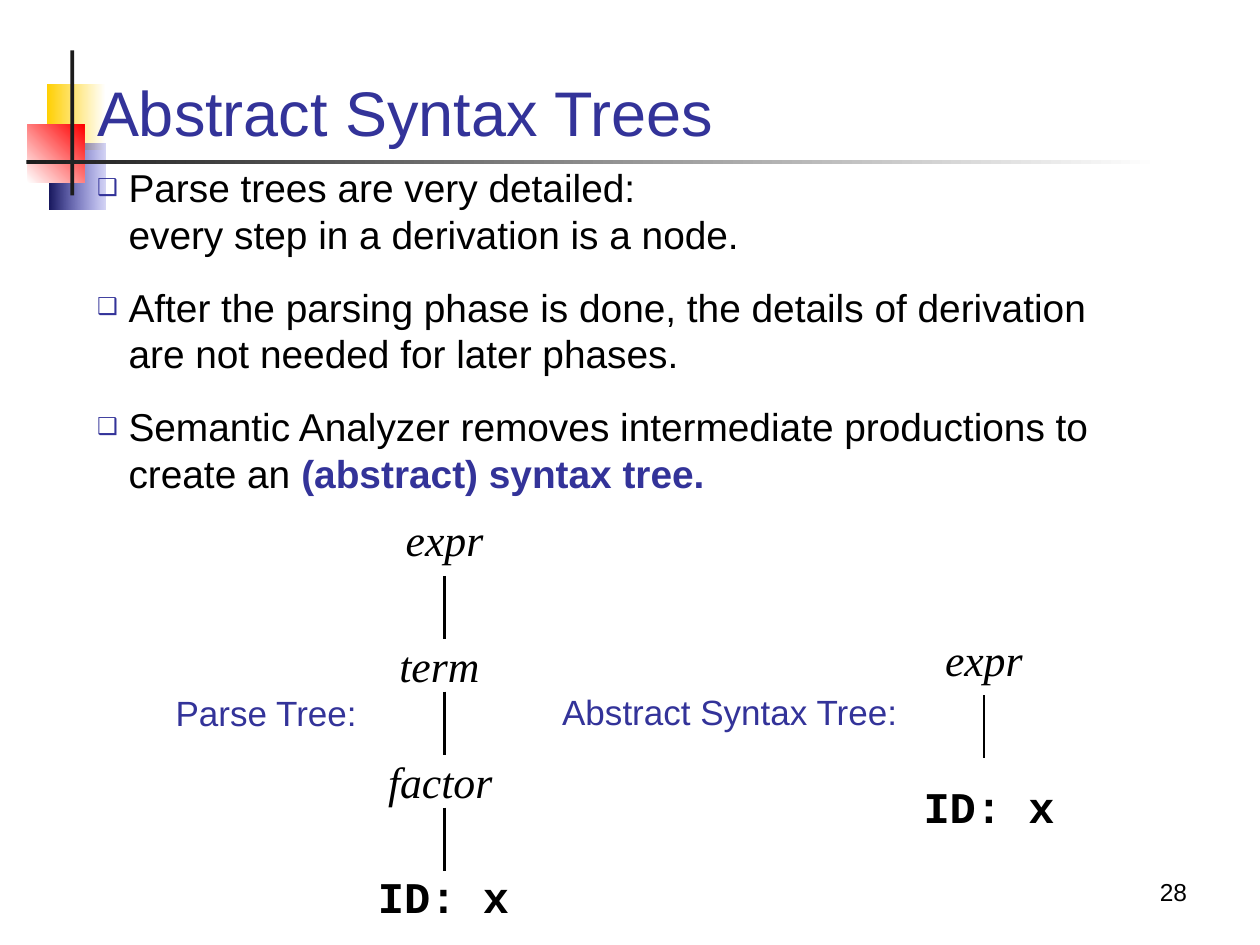
from pptx import Presentation
from pptx.dml.color import RGBColor
from pptx.enum import shapes, text
from pptx.oxml import ns, xmlchemy
from pptx.util import Inches, Pt

INDIGO, BLACK, CHARCOAL, WHITE = "333399", "000000", "1C1C1C", "FFFFFF"
EDGE_LENGTH = 0.5
NODE_HEIGHT = 0.42


def color(hex_value):
    return RGBColor.from_string(hex_value)


def add_element(parent, tag, **attributes):
    element = xmlchemy.OxmlElement(tag)
    for name, value in attributes.items():
        element.set(name, value)
    parent.append(element)
    return element


def place(shape, left, top, width, height):
    shape.left, shape.top = Inches(left), Inches(top)
    shape.width, shape.height = Inches(width), Inches(height)


def add_run(paragraph, words, size, hex_value=BLACK, font="Arial", bold=False, italic=False):
    run = paragraph.add_run()
    run.text = words
    run.font.name, run.font.size = font, Pt(size)
    run.font.bold, run.font.italic = bold, italic
    run.font.color.rgb = color(hex_value)


def add_block(slide, box, start, end=None, angle=0, end_alpha=None):
    """Add a borderless rectangle, solid or fading from start to end."""
    block = slide.shapes.add_shape(shapes.MSO_SHAPE.RECTANGLE, *map(Inches, box))
    block.shadow.inherit = False
    block.line.fill.background()
    if end is None:
        block.fill.solid()
        block.fill.fore_color.rgb = color(start)
        return
    block.fill.gradient()
    block.fill.gradient_angle = angle
    for stop, hex_value, position in zip(block.fill.gradient_stops, (start, end), (0, 1)):
        stop.color.rgb = color(hex_value)
        stop.position = position
    if end_alpha is not None:
        last_color = block.element.findall(".//" + ns.qn("a:srgbClr"))[-1]
        add_element(last_color, "a:alpha", val=str(end_alpha * 1000))


def add_ornament(slide, left, top):
    """Add the overlapping squares and the crossed rules beside the title."""
    add_block(slide, (left + 0.16, top + 0.27, 0.47, 0.52), "FFCF01", WHITE)
    add_block(slide, (left + 0.18, top + 0.74, 0.45, 0.52), "18185E", "3333CC", end_alpha=20)
    add_block(slide, (left + 0.01, top + 0.59, 0.45, 0.46), WHITE, "FF0000", angle=45)
    add_block(slide, (left + 0.35, top, 0.03, 1.15), CHARCOAL)
    add_block(slide, (left, top + 0.87, 9, 0.03), CHARCOAL, WHITE)


def fill_title(title, box, words):
    place(title, *box)
    title.text_frame.vertical_anchor = text.MSO_ANCHOR.BOTTOM
    title.text_frame.auto_size = text.MSO_AUTO_SIZE.NONE
    paragraph = title.text_frame.paragraphs[0]
    paragraph.alignment = text.PP_ALIGN.LEFT
    add_run(paragraph, words, 36, INDIGO)


def set_bullet(paragraph):
    properties = paragraph._p.get_or_add_pPr()
    properties.set("marL", str(Inches(0.25)))
    properties.set("indent", str(-Inches(0.25)))
    bullet_color = add_element(properties, "a:buClr")
    add_element(bullet_color, "a:srgbClr", val=INDIGO)
    add_element(properties, "a:buSzPct", val="60000")
    add_element(properties, "a:buChar", char="❑")


def fill_body(body, box, items):
    """Fill the list; each item is a sequence of (words, emphasised) runs."""
    place(body, *box)
    frame = body.text_frame
    frame.auto_size = text.MSO_AUTO_SIZE.NONE
    for index, item in enumerate(items):
        paragraph = frame.add_paragraph() if index else frame.paragraphs[0]
        set_bullet(paragraph)
        paragraph.space_before = Pt(15 if index else 0)
        for words, emphasised in item:
            for line_index, line in enumerate(words.split("\n")):
                if line_index:
                    paragraph.add_line_break()
                add_run(paragraph, line, 22.2, INDIGO if emphasised else BLACK, bold=emphasised)


def add_label(slide, box, words, size, hex_value, anchor=text.MSO_ANCHOR.TOP):
    """Add a right-aligned text box."""
    label = slide.shapes.add_textbox(*map(Inches, box))
    frame = label.text_frame
    frame.word_wrap = True
    frame.vertical_anchor = anchor
    frame.paragraphs[0].alignment = text.PP_ALIGN.RIGHT
    add_run(frame.paragraphs[0], words, size, hex_value)


def add_node(slide, left, top, width, words, is_token):
    node = slide.shapes.add_textbox(*map(Inches, (left, top, width, NODE_HEIGHT)))
    frame = node.text_frame
    frame.word_wrap = False
    frame.margin_left = frame.margin_right = frame.margin_top = frame.margin_bottom = 0
    font = "Courier New" if is_token else "Times New Roman"
    add_run(frame.paragraphs[0], words, 25, font=font, bold=is_token, italic=not is_token)


def add_edge(slide, x, top):
    edge = slide.shapes.add_connector(
        shapes.MSO_CONNECTOR.STRAIGHT, *map(Inches, (x, top, x, top + EDGE_LENGTH)))
    edge.line.color.rgb = color(BLACK)
    edge.line.width = Pt(1.62)
    add_element(edge.element.spPr, "a:effectLst")


def add_tree(slide, left, top, nodes, axis, edge_tops):
    """Add a one-branch tree; nodes are (words, x, y, width, is_token)."""
    for words, x, y, width, is_token in nodes:
        add_node(slide, left + x, top + y, width, words, is_token)
    for edge_top in edge_tops:
        add_edge(slide, left + axis, top + edge_top)


def build_slide(presentation):
    slide = presentation.slides.add_slide(presentation.slide_layouts[1])
    title, body = slide.placeholders
    add_ornament(slide, 0.21, 0.4)
    for placeholder in (title, body):  # text goes in front of the ornament
        slide.shapes.element.append(placeholder.element)

    add_label(slide, (7.44, 6.74, 2.08, 0.5), "28", 14, BLACK, text.MSO_ANCHOR.BOTTOM)
    fill_title(title, (0.67, 0.28, 8.66, 0.95), "Abstract Syntax Trees")
    fill_body(body, (0.67, 1.25, 8.5, 2.72), [
        [("Parse trees are very detailed:\nevery step in a derivation is a node.", False)],
        [("After the parsing phase is done, the details of derivation "
          "are not needed for later phases.", False)],
        [("Semantic Analyzer removes intermediate productions to create an ", False),
         ("(abstract) syntax tree.", True)],
    ])

    add_tree(slide, 3, 4.07, [
        ("expr", 0.22, 0, 0.62, False),
        ("term", 0.17, 1, 0.64, False),
        ("factor", 0.08, 1.92, 0.83, False),
        ("ID: x", 0, 2.83, 1.04, True),
    ], axis=0.53, edge_tops=[0.5 + 0.92 * step for step in range(3)])
    add_tree(slide, 7.33, 5.02, [
        ("expr", 0.17, 0, 0.62, False),
        ("ID: x", 0, 1.17, 1.04, True),
    ], axis=0.48, edge_tops=[0.5])
    add_label(slide, (1.21, 5.44, 1.72, 0.44), "Parse Tree:", 20, INDIGO)
    add_label(slide, (4.3, 5.43, 2.92, 0.44), "Abstract Syntax Tree:", 20, INDIGO)


def main():
    presentation = Presentation()
    presentation.slide_width, presentation.slide_height = Inches(10), Inches(7.5)
    build_slide(presentation)
    presentation.save("out.pptx")


if __name__ == "__main__":
    main()
